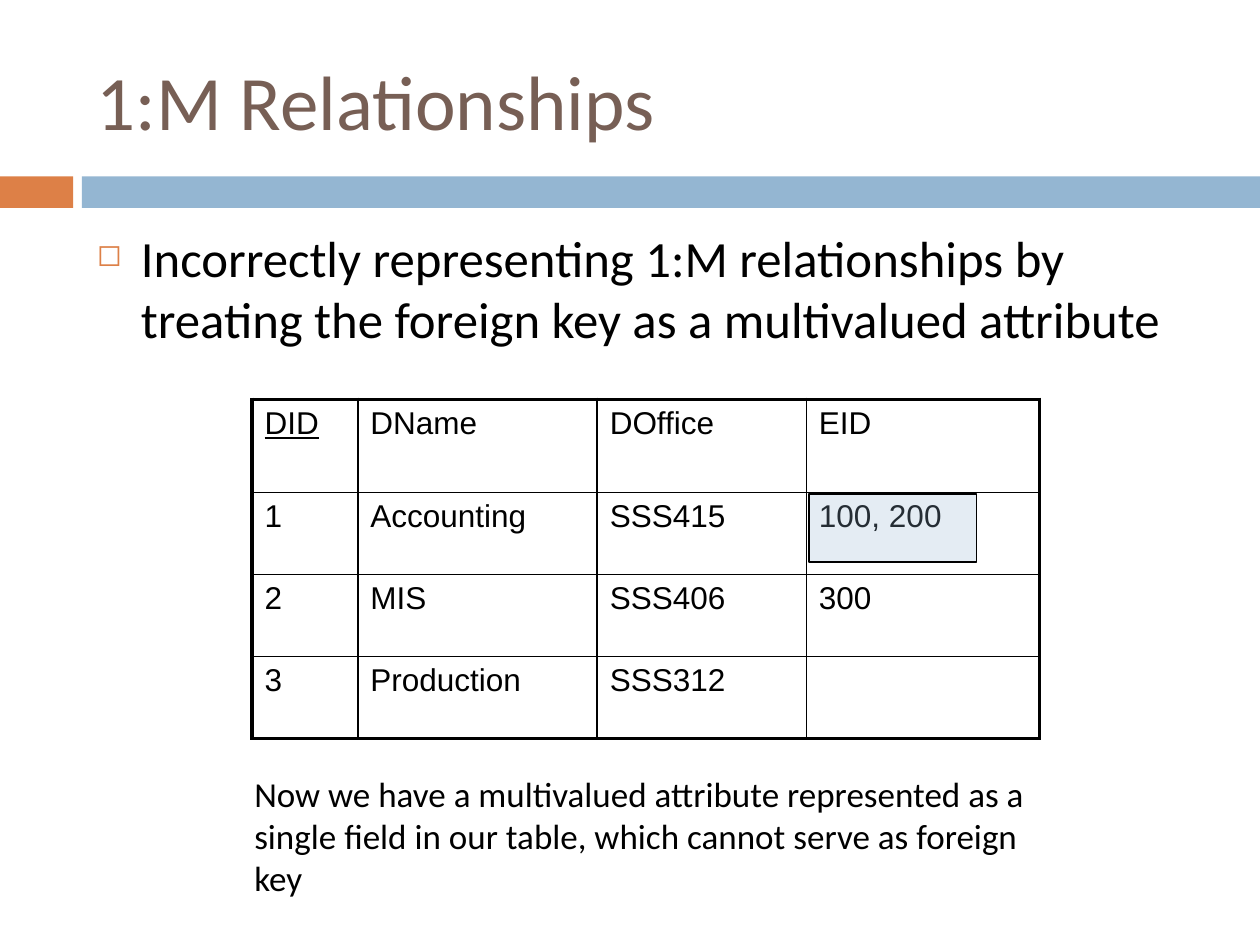
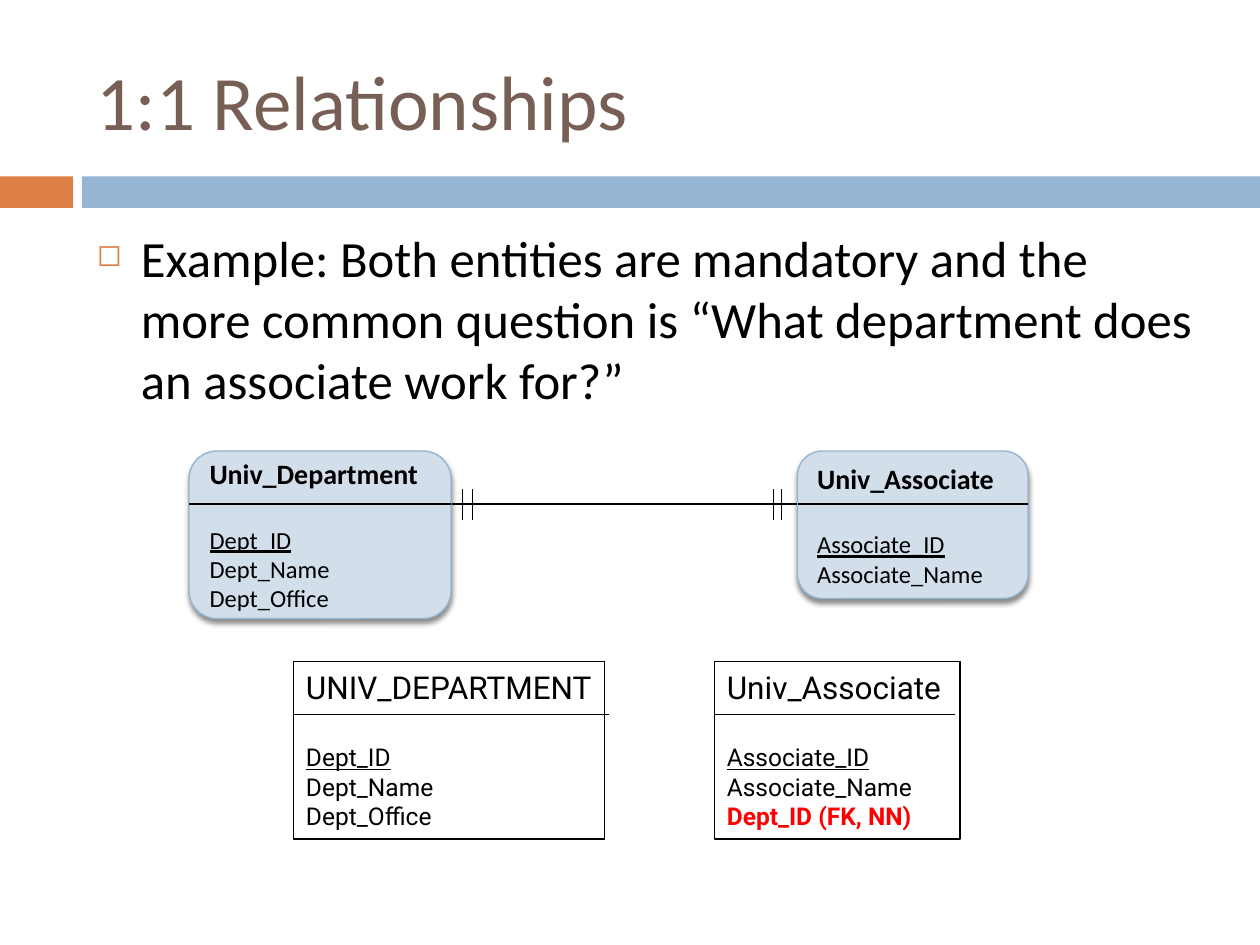
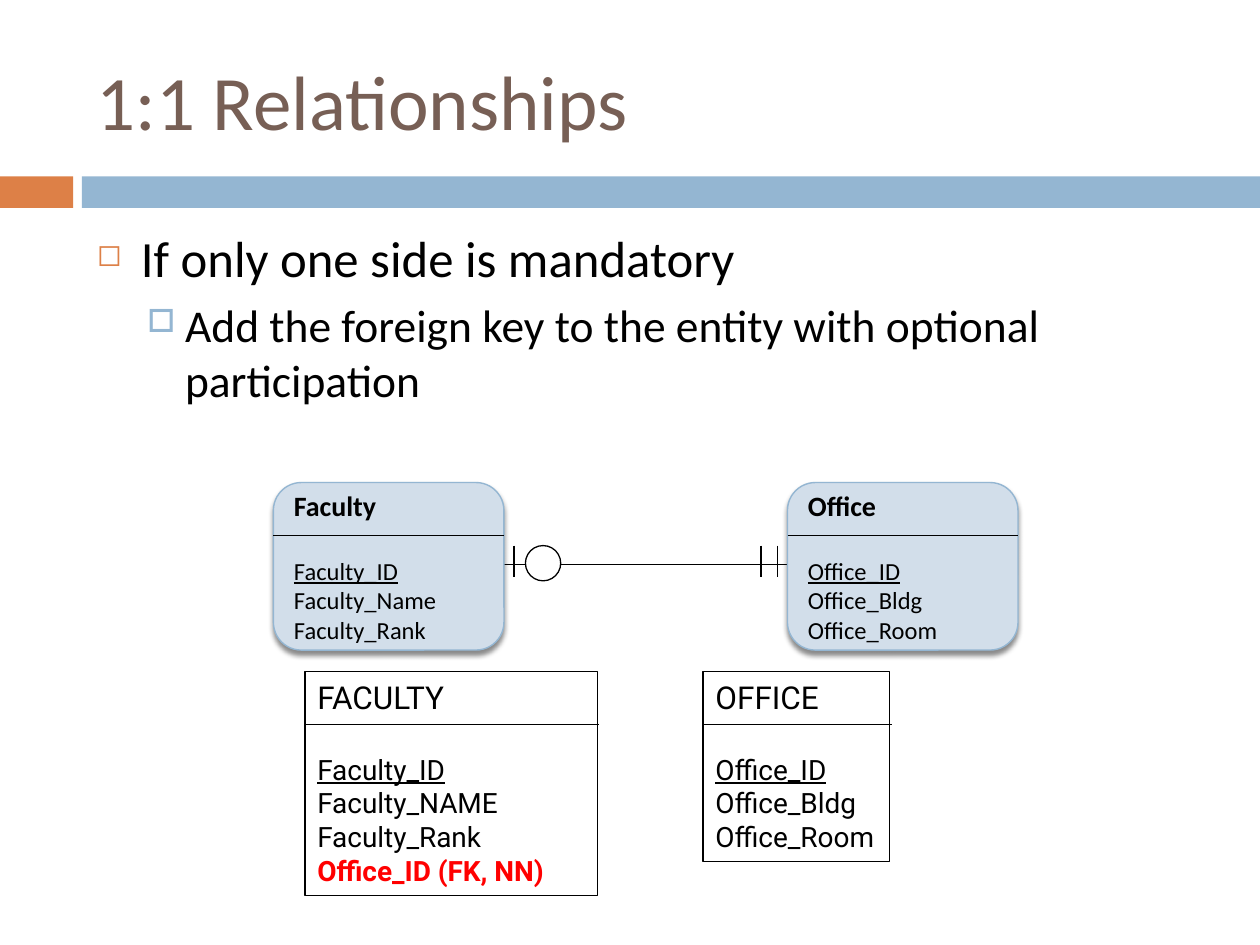
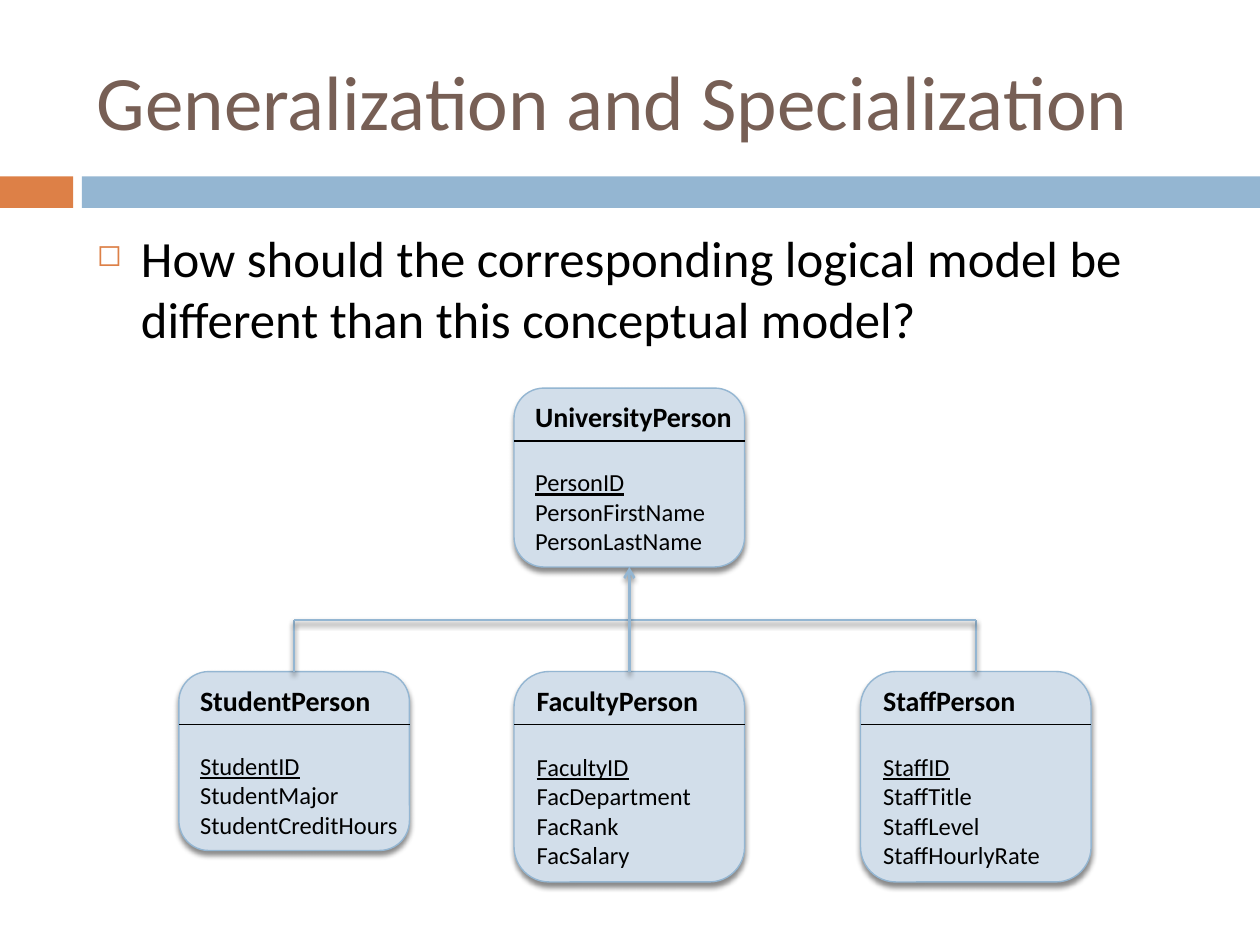
import lxml.etree
import pptx
import pptx.dml.color
import pptx.enum.shapes
import pptx.enum.text
import pptx.oxml.ns
import pptx.util

Inches = pptx.util.Inches
Pt = pptx.util.Pt
RGB = pptx.dml.color.RGBColor.from_string
SHAPE = pptx.enum.shapes.MSO_SHAPE
ANCHOR = pptx.enum.text.MSO_ANCHOR
qn = pptx.oxml.ns.qn
sub = lxml.etree.SubElement

COLORS = {
    "title": "775F55",
    "orange": "DD8047",
    "blue": "94B6D2",
    "entity": "D2DEEA",
    "text": "000000",
    "key": "FF0000",
    "white": "FFFFFF",
}
BOX_W = 1.83
HEADER_H = 0.42


def write(p, text, size, font="Calibri", color="text", bold=False, underline=False):
    r = p.add_run()
    r.text = text
    r.font.size = Pt(size)
    r.font.name = font
    r.font.bold = bold
    r.font.underline = underline
    r.font.color.rgb = RGB(COLORS[color])


def line(s, x1, y1, x2, y2, color="text", width=0.75):
    c = s.shapes.add_connector(
        pptx.enum.shapes.MSO_CONNECTOR.STRAIGHT,
        Inches(x1), Inches(y1), Inches(x2), Inches(y2))
    c.line.color.rgb = RGB(COLORS[color])
    c.line.width = Pt(width)
    sub(c.element.spPr, qn("a:effectLst"))
    return c


prs = pptx.Presentation()
prs.slide_width = Inches(10)
prs.slide_height = Inches(7.5)

BANDS = [(0, 0.58, "orange"), (0.65, 9.35, "blue")]
LEVELS = [
    {"left": 0.35, "hang": 0.35, "before": 7, "char": "◻", "color": "orange", "pct": 60, "size": 29},
    {"left": 0.7, "hang": 0.3, "before": 5.5, "char": "□", "color": "blue", "pct": 70, "size": 26},
]
CONTENT = [
    ("1:M Relationships",
     ["Incorrectly representing 1:M relationships by treating the foreign key as a multivalued attribute"]),
    ("1:1 Relationships",
     ["Example: Both entities are mandatory and the more common question is “What department does an associate work for?”"]),
    ("1:1 Relationships",
     ["If only one side is mandatory",
      "Add the foreign key to the entity with optional participation"]),
    ("Generalization and Specialization",
     ["How should the corresponding logical model be different than this conceptual model?"]),
]

for title, bullets in CONTENT:
    s = prs.slides.add_slide(prs.slide_layouts[6])
    for left, width, color in BANDS:
        sp = s.shapes.add_shape(SHAPE.RECTANGLE, Inches(left), Inches(1.4), Inches(width), Inches(0.25))
        sp.fill.solid()
        sp.fill.fore_color.rgb = RGB(COLORS[color])
        sp.line.fill.background()
        sp.shadow.inherit = False

    tf = s.shapes.add_textbox(Inches(0.67), Inches(0.25), Inches(8.92), Inches(1.08)).text_frame
    tf.word_wrap = True
    tf.vertical_anchor = ANCHOR.MIDDLE
    write(tf.paragraphs[0], title, 44, color="title")

    tf = s.shapes.add_textbox(Inches(0.67), Inches(1.75), Inches(8.92), Inches(4.92)).text_frame
    tf.word_wrap = True
    for i, (text, level) in enumerate(zip(bullets, LEVELS)):
        p = tf.add_paragraph() if i else tf.paragraphs[0]
        p.level = i
        p.space_before = Pt(level["before"])
        pPr = p._p.get_or_add_pPr()
        pPr.set("marL", str(Inches(level["left"])))
        pPr.set("indent", str(-Inches(level["hang"])))
        sub(sub(pPr, qn("a:buClr")), qn("a:srgbClr"), val=COLORS[level["color"]])
        sub(pPr, qn("a:buSzPct"), val=str(level["pct"] * 1000))
        sub(pPr, qn("a:buChar"), char=level["char"])
        write(p, text, level["size"])

one_many, both_mandatory, one_mandatory, hierarchy = prs.slides

COLS = [0.84, 1.9, 1.66, 1.85]
ROWS = [0.74, 0.65, 0.65, 0.65]
DEPARTMENTS = [
    ["DID", "DName", "DOffice", "EID"],
    ["1", "Accounting", "SSS415", "100, 200"],
    ["2", "MIS", "SSS406", "300"],
    ["3", "Production", "SSS312", ""],
]
table = one_many.shapes.add_table(
    len(ROWS), len(COLS), Inches(2), Inches(3.17), Inches(sum(COLS)), Inches(sum(ROWS))).table
for column, width in zip(table.columns, COLS):
    column.width = Inches(width)
for row, height in zip(table.rows, ROWS):
    row.height = Inches(height)
for i, values in enumerate(DEPARTMENTS):
    for j, value in enumerate(values):
        cell = table.cell(i, j)
        tcPr = cell._tc.get_or_add_tcPr()
        outer = {"lnL": j == 0, "lnR": j == len(COLS) - 1, "lnT": i == 0, "lnB": i == len(ROWS) - 1}
        for side, is_outer in outer.items():
            ln = sub(tcPr, qn("a:" + side), w=str(Pt(2.25 if is_outer else 1)))
            sub(sub(ln, qn("a:solidFill")), qn("a:srgbClr"), val=COLORS["text"])
        cell.fill.solid()
        cell.fill.fore_color.rgb = RGB(COLORS["white"])
        if value:
            write(cell.text_frame.paragraphs[0], value, 18, "Arial", underline=value == "DID")

sp = one_many.shapes.add_shape(SHAPE.RECTANGLE, Inches(6.42), Inches(3.92), Inches(1.33), Inches(0.54))
sp.shadow.inherit = False
sp.fill.solid()
sp.fill.fore_color.rgb = RGB(COLORS["blue"])
sub(sp.element.spPr.find(qn("a:solidFill"))[0], qn("a:alpha"), val="25000")
sp.line.color.rgb = RGB(COLORS["text"])
sp.line.width = Pt(0.75)

tf = one_many.shapes.add_textbox(Inches(1.92), Inches(6.08), Inches(6.67), Inches(0.77)).text_frame
tf.word_wrap = True
write(tf.paragraphs[0],
      "Now we have a multivalued attribute represented as a single field in our table, which cannot serve as foreign key", 20)

RELATIONSHIPS = [
    (both_mandatory, 3.5, 6.33, 4, 3.88, [3.67, 3.75, 6.14, 6.2]),
    (one_mandatory, 3.89, 6.72, 4.48, 4.33, [4.08, 6.04, 6.17]),
]
for s, x1, x2, y, tick_top, ticks in RELATIONSHIPS:
    line(s, x1, y, x2, y)
    for x in ticks:
        line(s, x, tick_top, x, tick_top + 0.25)

sp = one_mandatory.shapes.add_shape(SHAPE.OVAL, Inches(4.17), Inches(4.33), Inches(0.28), Inches(0.28))
sp.shadow.inherit = False
sp.fill.solid()
sp.fill.fore_color.rgb = RGB(COLORS["white"])
sp.line.color.rgb = RGB(COLORS["text"])
sp.line.width = Pt(0.75)

ENTITIES = [
    (both_mandatory, 1.5, 3.58, 2.08, 1.33, "Univ_Department", ["Dept_ID", "Dept_Name", "Dept_Office"]),
    (both_mandatory, 6.33, 3.58, BOX_W, 1.17, "Univ_Associate", ["Associate_ID", "Associate_Name"]),
    (one_mandatory, 2.17, 3.83, BOX_W, 1.33, "Faculty", ["Faculty_ID", "Faculty_Name", "Faculty_Rank"]),
    (one_mandatory, 6.25, 3.83, BOX_W, 1.33, "Office", ["Office_ID", "Office_Bldg", "Office_Room"]),
    (hierarchy, 4.08, 3.08, BOX_W, 1.42, "UniversityPerson", ["PersonID", "PersonFirstName", "PersonLastName"]),
    (hierarchy, 1.42, 5.33, BOX_W, 1.42, "StudentPerson", ["StudentID", "StudentMajor", "StudentCreditHours"]),
    (hierarchy, 4.08, 5.33, BOX_W, 1.67, "FacultyPerson", ["FacultyID", "FacDepartment", "FacRank", "FacSalary"]),
    (hierarchy, 6.83, 5.33, BOX_W, 1.67, "StaffPerson", ["StaffID", "StaffTitle", "StaffLevel", "StaffHourlyRate"]),
]
raised = []
boxes = {}
for s, left, top, width, height, name, attributes in ENTITIES:
    sp = s.shapes.add_shape(SHAPE.ROUNDED_RECTANGLE, Inches(left), Inches(top), Inches(width), Inches(height))
    sp.fill.solid()
    sp.fill.fore_color.rgb = RGB(COLORS["entity"])
    sp.line.color.rgb = RGB(COLORS["blue"])
    sp.line.width = Pt(0.79)
    sp.shadow.inherit = False
    raised.append(sp)
    boxes[name] = sp
    tf = sp.text_frame
    tf.word_wrap = False
    tf.vertical_anchor = ANCHOR.MIDDLE
    p = tf.paragraphs[0]
    p.alignment = pptx.enum.text.PP_ALIGN.LEFT
    write(p, name, 16, bold=True)
    for i, attribute in enumerate(attributes):
        p = tf.add_paragraph()
        p.alignment = pptx.enum.text.PP_ALIGN.LEFT
        p.space_before = Pt(0 if i else 19.5)
        write(p, attribute, 14, underline=i == 0)
    line(s, left, top + HEADER_H, left + width, top + HEADER_H)

RELATIONS = [
    (both_mandatory, 2.33, 5.25, 2.47, 1.41, 2.5, 14, "UNIV_DEPARTMENT", ["Dept_ID", "Dept_Name", "Dept_Office"]),
    (both_mandatory, 5.67, 5.25, 1.95, 1.41, 1.91, 14, "Univ_Associate",
     ["Associate_ID", "Associate_Name", "Dept_ID (FK, NN)"]),
    (one_mandatory, 2.42, 5.33, 2.32, 1.78, 2.33, 16, "FACULTY",
     ["Faculty_ID", "Faculty_NAME", "Faculty_Rank", "Office_ID (FK, NN)"]),
    (one_mandatory, 5.58, 5.33, 1.48, 1.51, 1.5, 16, "OFFICE", ["Office_ID", "Office_Bldg", "Office_Room"]),
]
for s, left, top, width, height, rule_width, size, name, attributes in RELATIONS:
    sp = s.shapes.add_shape(SHAPE.RECTANGLE, Inches(left), Inches(top), Inches(width), Inches(height))
    sp.fill.background()
    sp.line.color.rgb = RGB(COLORS["text"])
    sp.line.width = Pt(0.75)
    sp.shadow.inherit = False
    tf = sp.text_frame
    tf.word_wrap = False
    tf.auto_size = pptx.enum.text.MSO_AUTO_SIZE.SHAPE_TO_FIT_TEXT
    tf.vertical_anchor = ANCHOR.TOP
    p = tf.paragraphs[0]
    p.alignment = pptx.enum.text.PP_ALIGN.LEFT
    write(p, name, 18, "Roboto")
    for i, attribute in enumerate(attributes):
        is_foreign = "FK" in attribute
        p = tf.add_paragraph()
        p.alignment = pptx.enum.text.PP_ALIGN.LEFT
        p.space_before = Pt(0 if i else 21)
        write(p, attribute, size, "Roboto", "key" if is_foreign else "text", is_foreign, i == 0)
    line(s, left, top + HEADER_H, left + rule_width, top + HEADER_H)

BUS_Y = 4.92
student_x, faculty_x, staff_x = [left + BOX_W / 2 for left in (1.42, 4.08, 6.83)]
for name, x in [("StudentPerson", student_x), ("StaffPerson", staff_x)]:
    stem = line(hierarchy, x, 5.33, x, BUS_Y, "blue", 1.5)
    stem.begin_connect(boxes[name], 0)
    raised.append(stem)
raised.append(line(hierarchy, student_x, BUS_Y, staff_x, BUS_Y, "blue", 1.5))
arrow = line(hierarchy, faculty_x, 5.33, faculty_x, 4.5, "blue", 1.5)
arrow.begin_connect(boxes["FacultyPerson"], 0)
arrow.end_connect(boxes["UniversityPerson"], 2)
sub(arrow.element.spPr.find(qn("a:ln")), qn("a:tailEnd"), type="arrow")
raised.append(arrow)

for sp in raised:
    shadow = sub(sp.element.spPr.find(qn("a:effectLst")), qn("a:outerShdw"),
                 blurRad=str(Pt(3)), dist=str(Pt(2.4)), dir="5400000", rotWithShape="0")
    sub(sub(shadow, qn("a:srgbClr"), val=COLORS["text"]), qn("a:alpha"), val="45000")

prs.save("out.pptx")
